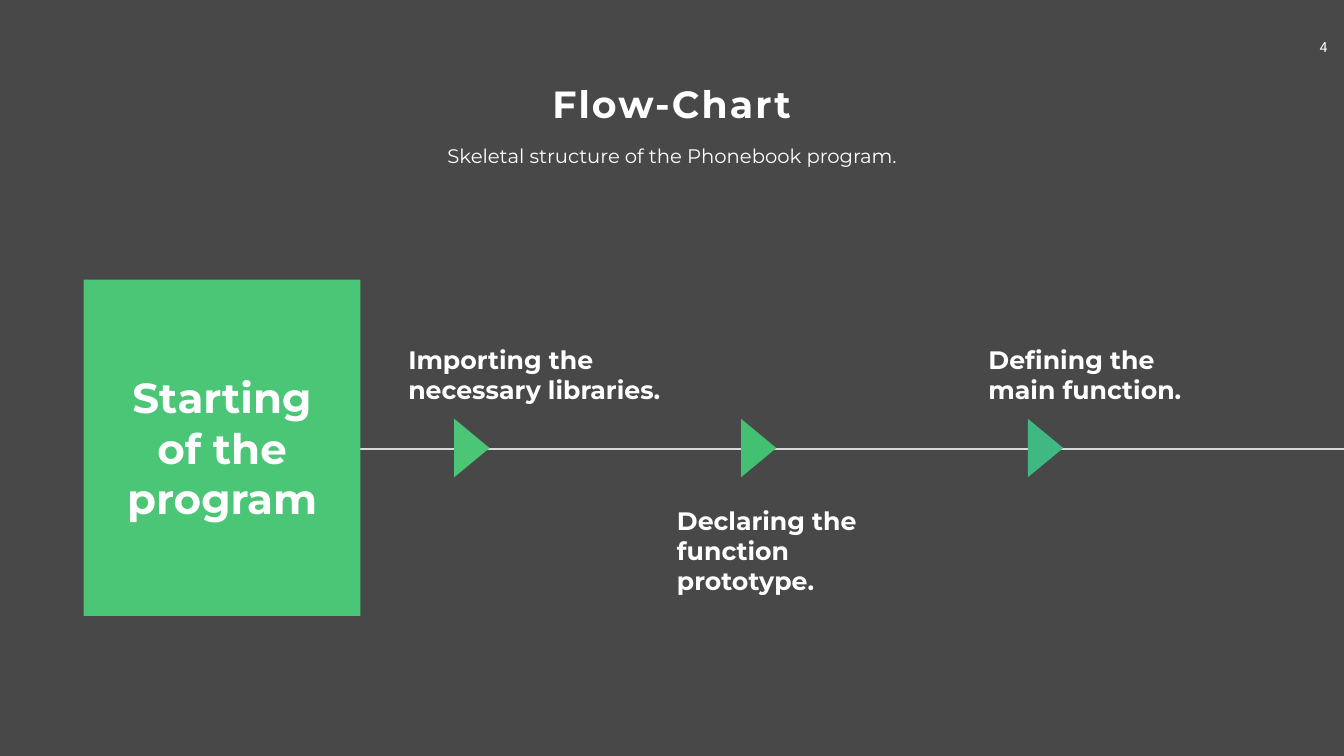
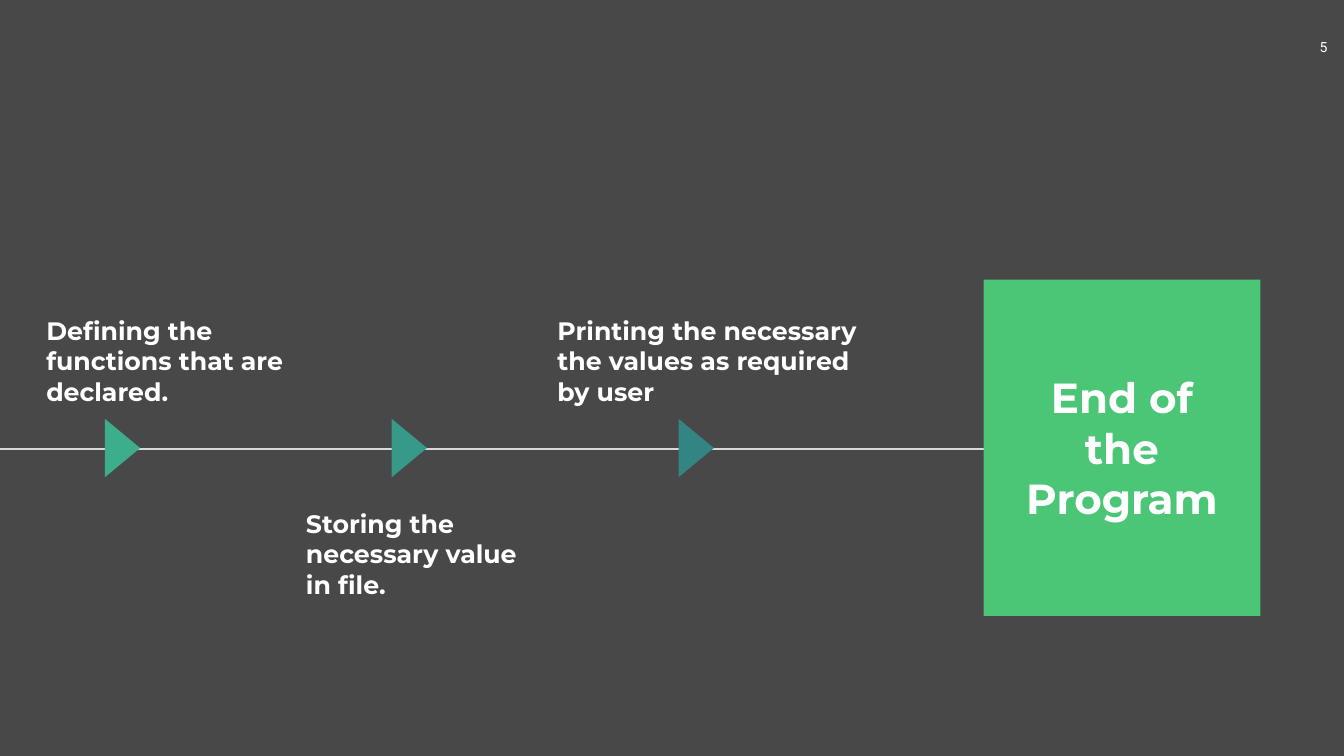
from pptx import Presentation
from pptx.dml.color import RGBColor as Rgb
from pptx.enum.shapes import MSO_CONNECTOR as Link, MSO_SHAPE as Form
from pptx.enum.text import MSO_AUTO_SIZE as Fit, PP_ALIGN as Align
from pptx.oxml.ns import qn
from pptx.util import Emu, Pt
from lxml.etree import SubElement

SCALE = 9144  # EMU per px, 100 px to the inch
WIDTH, HEIGHT = 2666, 1500
AXIS = 890
STEP = 569
HUES = {
    "back": "484848", "text": "FFFFFF", "line": "D9D9D9", "box": "4BC676",
    "import": "4BC676", "declare": "43C072", "main": "40B884",
    "define": "3CAE8C", "store": "379987", "print": "328582",
}


def px(*nums):
    return [Emu(num * SCALE) for num in nums]


class Deck:
    """Holds the shared style and the slide being filled."""

    def __init__(self):
        self.prs = Presentation()
        self.prs.slide_width, self.prs.slide_height = px(WIDTH, HEIGHT)
        self.slide = None

    def page(self, num):
        self.slide = self.prs.slides.add_slide(self.prs.slide_layouts[6])
        self.paint(self.slide.background.fill, "back")
        self.text(str(num), 2588, 67, 91, 54, 20, bold=False, font="Roboto",
                  align=Align.CENTER, pads=(20, 10, 36, 10), wrap=False)

    def paint(self, fill, hue):
        fill.solid()
        fill.fore_color.rgb = Rgb.from_string(HUES[hue])

    def text(self, words, x, y, w, h, size, bold=True, font="Montserrat",
             align=Align.LEFT, pads=(10, 5, 10, 5), wrap=True):
        """Add a text box and return its paragraph."""
        frame = self.slide.shapes.add_textbox(*px(x, y, w, h)).text_frame
        frame.word_wrap = wrap
        frame.auto_size = Fit.SHAPE_TO_FIT_TEXT
        (frame.margin_left, frame.margin_top,
         frame.margin_right, frame.margin_bottom) = px(*pads)
        para = frame.paragraphs[0]
        para.alignment = align
        run = para.add_run()
        run.text = words
        run.font.name, run.font.size, run.font.bold = font, Pt(size), bold
        self.paint(run.font.fill, "text")
        return para

    def title(self, words):
        para = self.text(words, 961, 155, 743, 101, 54, align=Align.CENTER)
        para.runs[0].font._element.set("spc", "300")

    def lead(self, words):
        para = self.text(words, 676, 260, 1314, 79, 28, bold=False,
                         align=Align.CENTER, pads=(24, 12, 24, 12))
        para.line_spacing, para.space_before = Pt(43), Pt(6)

    def shape(self, form, hue, x, y, w, h):
        item = self.slide.shapes.add_shape(form, *px(x, y, w, h))
        item.shadow.inherit = False
        self.paint(item.fill, hue)
        item.line.fill.background()
        return item

    def rail(self, start, end):
        """Draw the flow line; its inner end lies under the box."""
        line = self.slide.shapes.add_connector(
            Link.STRAIGHT, *px(start, AXIS, end, AXIS))
        line.line.width = Pt(3)
        self.paint(line.line.fill, "line")
        SubElement(line._element.spPr, qn("a:effectLst"))

    def box(self, words, x):
        self.shape(Form.RECTANGLE, "box", x, 555, 549, 667)
        self.text(words, x + 54, 733, 441, 313, 60, align=Align.CENTER)

    def steps(self, first, items):
        """Place evenly spaced arrows, each with its own label."""
        for i, (hue, words, x, y, w, h) in enumerate(items):
            self.text(words, x, y, w, h, 36)
            mark = self.shape(Form.ISOSCELES_TRIANGLE, hue,
                              first + i * STEP, 854, 116, 70)
            mark.rotation = 90


def main():
    deck = Deck()

    deck.page(4)
    deck.title("Flow-Chart")
    deck.rail(496, WIDTH)
    deck.box("Starting of the program", 166)
    deck.steps(878, [
        ("import", "Importing the necessary libraries.", 800, 678, 549, 131),
        ("declare", "Declaring the function prototype.", 1333, 997, 523, 131),
        ("main", "Defining the main function.", 1951, 678, 480, 131),
    ])
    deck.lead("Skeletal structure of the Phonebook program.")

    deck.page(5)
    deck.rail(2170, 0)
    deck.box("End of the Program", 1951)
    deck.steps(185, [
        ("define", "Defining the functions that are declared.",
         82, 621, 504, 192),
        ("store", "Storing the necessary value in file.",
         597, 1004, 499, 192),
        ("print", "Printing the necessary the values as required by user",
         1096, 621, 628, 192),
    ])

    deck.prs.save("out.pptx")


if __name__ == "__main__":
    main()
